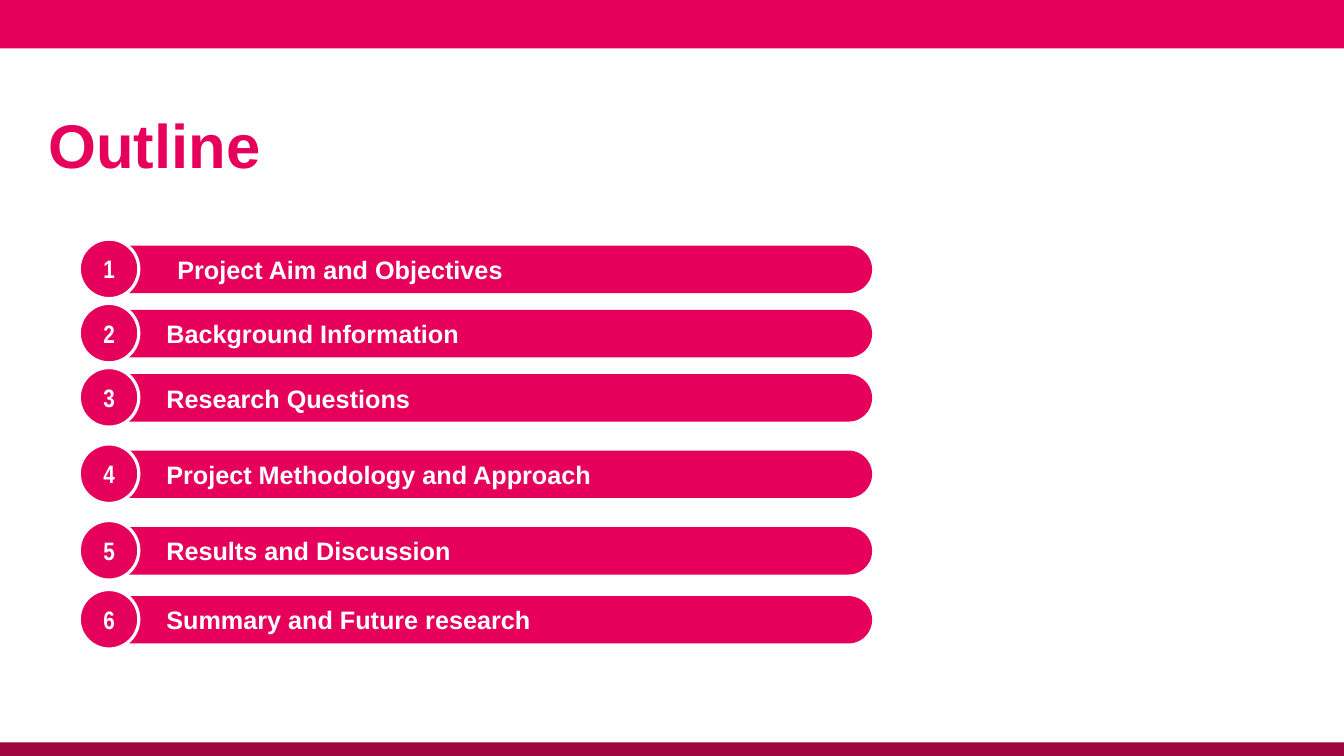
from dataclasses import dataclass

from pptx import Presentation
from pptx import util as u
from pptx.dml.color import RGBColor
from pptx.enum import shapes, text


@dataclass(frozen=True)
class Theme:
    pink: str = "E6005B"
    badge: str = "E5005B"
    dark: str = "9E043D"
    white: str = "FFFFFF"
    font: str = "Arial"
    badge_font: str = "Arial Narrow"
    title_size: int = 44
    item_size: int = 18
    ring_width: float = 2.25


@dataclass(frozen=True)
class Box:
    """Percent shares of the slide's width and height."""
    left: float
    top: float
    width: float
    height: float

    def emu(self) -> tuple[int, ...]:
        return (round(W * self.left / 100), round(H * self.top / 100),
                round(W * self.width / 100), round(H * self.height / 100))


@dataclass(frozen=True)
class Item:
    label: str
    top: float
    label_left: float = 12.38


THEME = Theme()
W, H = u.Inches(13.33), u.Inches(7.5)
ITEMS = [
    Item("Project Aim and Objectives", 32.5, 13.2),
    Item("Background Information", 41),
    Item("Research Questions", 49.5),
    Item("Project Methodology and Approach", 59.6),
    Item("Results and Discussion", 69.73),
    Item("Summary and Future research", 78.85),
]


def add_filled(parent, kind: shapes.MSO_SHAPE, box: Box, color: str):
    sp = parent.add_shape(kind, *box.emu())
    sp.shadow.inherit = False
    sp.fill.solid()
    sp.fill.fore_color.rgb = RGBColor.from_string(color)
    sp.line.fill.background()
    return sp


def write(sp, words: str, size: int, font: str, color: str,
          align: text.PP_ALIGN = text.PP_ALIGN.LEFT) -> None:
    tf = sp.text_frame
    tf.text = words
    tf.word_wrap = True
    tf.vertical_anchor = text.MSO_ANCHOR.MIDDLE
    p = tf.paragraphs[0]
    p.alignment = align
    r = p.runs[0]
    r.font.size, r.font.name, r.font.bold = u.Pt(size), font, True
    r.font.color.rgb = RGBColor.from_string(color)


def add_item(slide, number: int, item: Item) -> None:
    group = slide.shapes.add_group_shape().shapes
    # Bar
    bar = add_filled(group, shapes.MSO_SHAPE.ROUNDED_RECTANGLE,
                     Box(5.85, item.top, 59.04, 6.27), THEME.pink)
    bar.adjustments[0] = 0.5
    # Numbered badge
    badge = add_filled(group, shapes.MSO_SHAPE.OVAL,
                       Box(5.9, item.top - 0.87, 4.43, 7.87), THEME.badge)
    badge.line.color.rgb = RGBColor.from_string(THEME.white)
    badge.line.width = u.Pt(THEME.ring_width)
    write(badge, str(number), THEME.item_size, THEME.badge_font, THEME.white,
          text.PP_ALIGN.CENTER)
    # Label
    label = group.add_textbox(*Box(item.label_left, item.top + 0.53, 35.4, 5.2).emu())
    tf = label.text_frame
    tf.margin_left = tf.margin_right = tf.margin_top = tf.margin_bottom = 0
    write(label, item.label, THEME.item_size, THEME.font, THEME.white)


def main() -> None:
    prs = Presentation()
    prs.slide_width, prs.slide_height = W, H
    slide = prs.slides.add_slide(prs.slide_layouts[6])

    # Top and bottom bands
    add_filled(slide.shapes, shapes.MSO_SHAPE.RECTANGLE, Box(0, 0, 100, 6.4), THEME.pink)
    add_filled(slide.shapes, shapes.MSO_SHAPE.RECTANGLE, Box(0, 98.2, 100, 1.8), THEME.dark)

    # Title
    title = slide.shapes.add_textbox(*Box(3.6, 11.73, 92.7, 14.67).emu())
    title.text_frame.margin_left = 0
    write(title, "Outline", THEME.title_size, THEME.font, THEME.pink)

    # Outline items
    for number, item in enumerate(ITEMS, 1):
        add_item(slide, number, item)

    prs.save("out.pptx")


if __name__ == "__main__":
    main()
